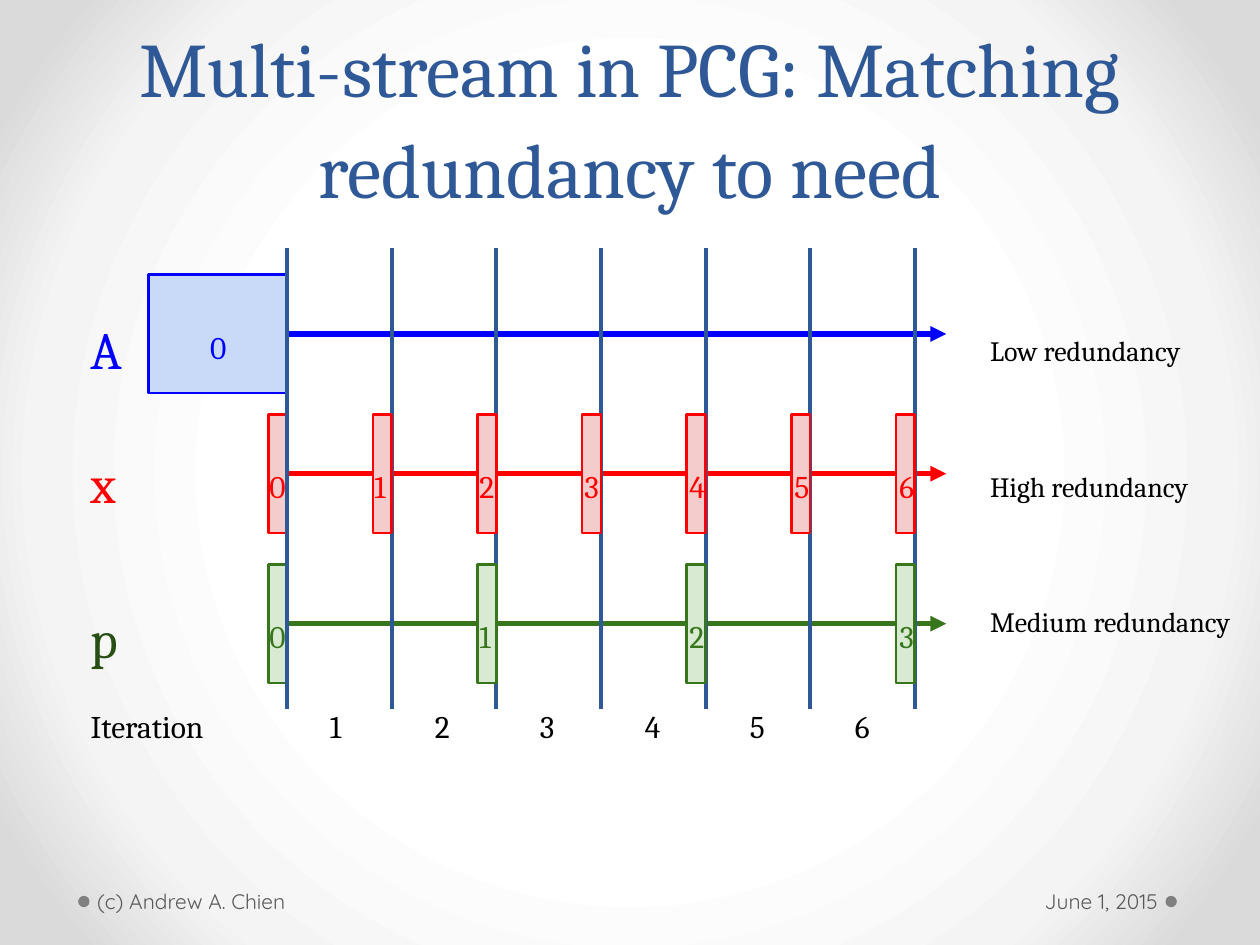
import pptx
import pptx.dml.color
import pptx.enum.shapes
import pptx.enum.text
import pptx.oxml
import pptx.oxml.ns
import pptx.util
from lxml import etree

RGBColor = pptx.dml.color.RGBColor
Inches = pptx.util.Inches
Pt = pptx.util.Pt
MSO_SHAPE = pptx.enum.shapes.MSO_SHAPE
MSO_ANCHOR = pptx.enum.text.MSO_ANCHOR
PP_ALIGN = pptx.enum.text.PP_ALIGN
qn = pptx.oxml.ns.qn

NAVY = RGBColor(0x2F, 0x58, 0x97)
BLUE = RGBColor(0x00, 0x00, 0xFF)
PALE_BLUE = RGBColor(0xC9, 0xDA, 0xF8)
RED = RGBColor(0xFF, 0x00, 0x00)
PALE_RED = RGBColor(0xF4, 0xCC, 0xCC)
GREEN = RGBColor(0x38, 0x76, 0x1D)
DARK_GREEN = RGBColor(0x27, 0x4E, 0x13)
PALE_GREEN = RGBColor(0xD9, 0xEA, 0xD3)
BLACK = RGBColor(0x00, 0x00, 0x00)
GRAY = RGBColor(0x80, 0x80, 0x80)
FOOTER_GRAY = RGBColor(0x59, 0x59, 0x59)
BACKGROUND_STOPS = (
    (50, RGBColor(0xFF, 0xFF, 0xFF)),
    (76, RGBColor(0xF4, 0xF4, 0xF4)),
    (92, RGBColor(0xDA, 0xDA, 0xDA)),
)

ITERATIONS = 6
GRID_LEFT, GRID_TOP, GRID_BOTTOM = 2.28, 1.97, 5.63
COLUMN = 0.83
LABEL_COLUMN = 5 / 6
BLOCK_WIDTH, BLOCK_HEIGHT = 0.15, 0.94
ARROW_END = 7.51
NAME_LEFT, NOTE_LEFT = 0.62, 7.76
DIGIT_SIZE = (0.3, 0.31)

# Each stream: name, name colour, name top, colour, fill, axis height,
# block width, left of first digit, iterations per version (None: only
# one version), note, note top, note width
STREAMS = (
    ("A", BLUE, 2.42, BLUE, PALE_BLUE, 2.65,
     1.1, 1.57, None, "Low redundancy", 2.6, 1.91),
    ("x", RED, 3.48, RED, PALE_RED, 3.76,
     BLOCK_WIDTH, 2.04, 1, "High redundancy", 3.68, 1.97),
    ("p", DARK_GREEN, 4.71, GREEN, PALE_GREEN, 4.95,
     BLOCK_WIDTH, 2.04, 2, "Medium redundancy", 4.75, 2.32),
)


def set_background(slide):
    """Fill the background with a gradient that spreads from the centre."""
    slide.background.fill.gradient()
    gradient = slide.element.find(".//" + qn("a:gradFill"))
    for child in list(gradient):
        gradient.remove(child)
    stops = etree.SubElement(gradient, qn("a:gsLst"))
    for position, color in BACKGROUND_STOPS:
        stop = etree.SubElement(stops, qn("a:gs"), pos=str(position * 1000))
        etree.SubElement(stop, qn("a:srgbClr"), val=str(color))
    circle = etree.SubElement(gradient, qn("a:path"), {"path": "circle"})
    etree.SubElement(circle, qn("a:fillToRect"),
                     {side: "50000" for side in "ltrb"})


def add_text(slide, text, left, top, width, height, *, size=18, color=BLACK,
             font="Cambria", align=PP_ALIGN.LEFT, anchor=MSO_ANCHOR.TOP,
             insets=(0.1, 0.1, 0.1, 0.1), wrap=True, line_spacing=None):
    box = slide.shapes.add_textbox(Inches(left), Inches(top),
                                   Inches(width), Inches(height))
    frame = box.text_frame
    frame.word_wrap = wrap
    frame.vertical_anchor = anchor
    (frame.margin_left, frame.margin_top,
     frame.margin_right, frame.margin_bottom) = map(Inches, insets)
    paragraph = frame.paragraphs[0]
    paragraph.alignment = align
    paragraph.line_spacing = line_spacing
    run = paragraph.add_run()
    run.text = text
    run.font.name = font
    run.font.size = Pt(size)
    run.font.color.rgb = color


def add_shape(slide, kind, left, top, width, height, fill, line=None):
    shape = slide.shapes.add_shape(kind, Inches(left), Inches(top),
                                   Inches(width), Inches(height))
    shape.shadow.inherit = False
    shape.fill.solid()
    shape.fill.fore_color.rgb = fill
    if line is None:
        shape.line.fill.background()
    else:
        shape.line.color.rgb = line
        shape.line.width = Pt(1.5)


def add_line(slide, start, end, color, width, arrow=False):
    line = slide.shapes.add_connector(
        pptx.enum.shapes.MSO_CONNECTOR.STRAIGHT,
        *map(Inches, start), *map(Inches, end))
    line.line.color.rgb = color
    line.line.width = Pt(width)
    properties = line.element.spPr
    if arrow:
        etree.SubElement(properties.find(qn("a:ln")), qn("a:tailEnd"),
                         type="triangle")
    etree.SubElement(properties, qn("a:effectLst"))


def add_block(slide, column, axis, width, color, fill):
    """Add a block that ends at a grid line and is centred on its axis."""
    add_shape(slide, MSO_SHAPE.RECTANGLE,
              GRID_LEFT + column * COLUMN - width, axis - BLOCK_HEIGHT / 2,
              width, BLOCK_HEIGHT, fill, color)


def add_timeline(slide):
    for _, _, _, color, fill, axis, width, *_ in STREAMS:
        add_line(slide, (GRID_LEFT - width, axis), (ARROW_END, axis),
                 color, 3, arrow=True)
        add_block(slide, 0, axis, width, color, fill)
    for column in range(ITERATIONS + 1):
        x = GRID_LEFT + column * COLUMN
        add_line(slide, (x, GRID_TOP), (x, GRID_BOTTOM), NAVY, 2.25)

    for (name, name_color, name_top, color, fill, axis, width, digit_left,
         step, note, note_top, note_width) in STREAMS:
        columns = range(0, ITERATIONS + 1, step) if step else [0]
        for column in columns[1:]:
            add_block(slide, column, axis, width, color, fill)
        for version, column in enumerate(columns):
            add_text(slide, str(version), digit_left + column * LABEL_COLUMN,
                     axis - 0.15, *DIGIT_SIZE, color=color)
        add_text(slide, name, NAME_LEFT, name_top, 0.4, 0.47,
                 size=30, color=name_color)
        add_text(slide, note, NOTE_LEFT, note_top, note_width, 0.37,
                 size=16, wrap=False, insets=(0.1, 0.05, 0.1, 0.05))

    add_text(slide, "Iteration", NAME_LEFT, 5.51, 1.41, 0.31)
    for column in range(ITERATIONS):
        add_text(slide, str(column + 1), 2.52 + column * LABEL_COLUMN, 5.51,
                 *DIGIT_SIZE)


def add_footer(slide):
    style = dict(size=12, color=FOOTER_GRAY, font="Quicksand",
                 anchor=MSO_ANCHOR.MIDDLE)
    for left in (0.62, 9.25):
        add_shape(slide, MSO_SHAPE.OVAL, left, 7.11, 0.09, 0.09, GRAY)
    add_text(slide, "(c) Andrew A. Chien", 0.72, 6.95, 4.69, 0.4,
             insets=(0.05, 0.05, 0.1, 0.05), **style)
    add_text(slide, "June 1, 2015", 6.96, 6.95, 2.28, 0.4,
             insets=(0.1, 0.05, 0.05, 0.05), align=PP_ALIGN.RIGHT, **style)


def main():
    presentation = pptx.Presentation()
    presentation.slide_width = Inches(10)
    presentation.slide_height = Inches(7.5)
    slide = presentation.slides.add_slide(presentation.slide_layouts[6])
    set_background(slide)
    add_text(slide, "Multi-stream in PCG: Matching redundancy to need",
             0.5, 0, 9, 1.75, size=44, color=NAVY, align=PP_ALIGN.CENTER,
             anchor=MSO_ANCHOR.BOTTOM, insets=(0.1, 0.05, 0.1, 0.05),
             line_spacing=Pt(58))
    add_timeline(slide)
    add_footer(slide)
    presentation.save("out.pptx")


if __name__ == "__main__":
    main()
